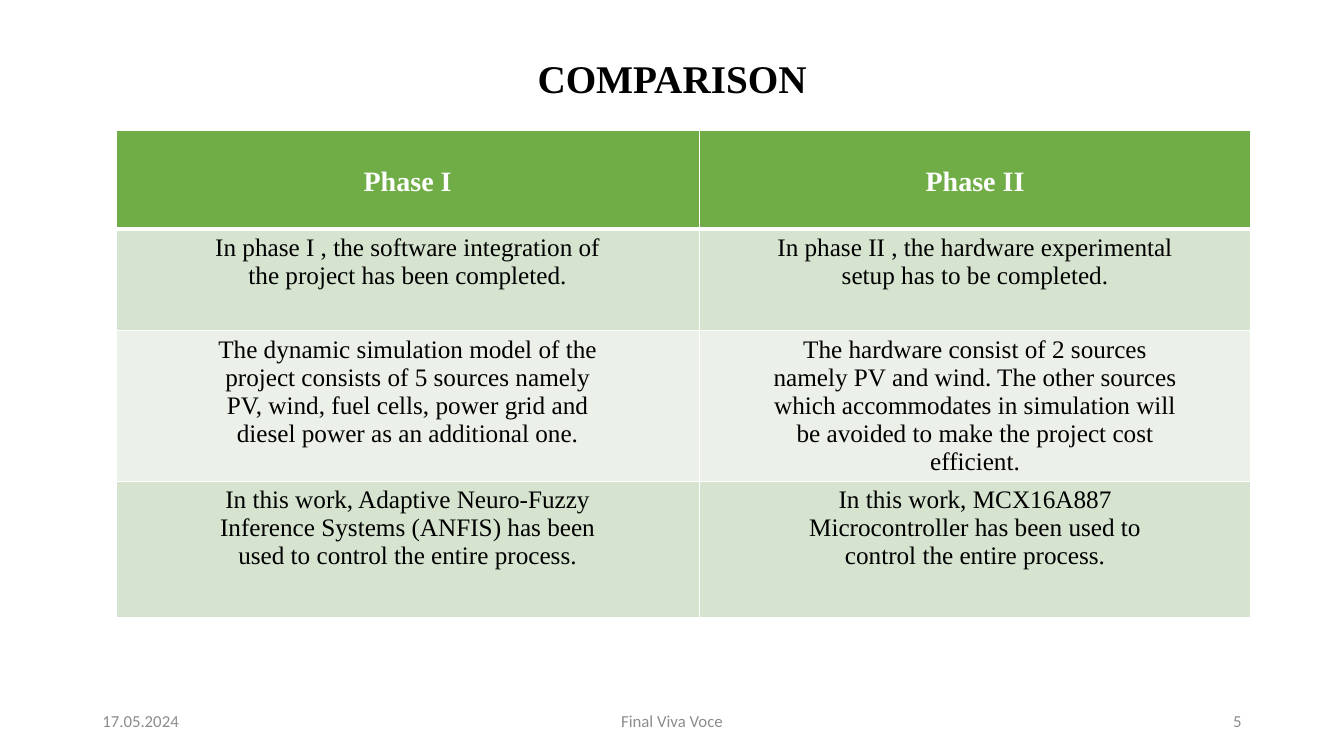
from lxml.etree import SubElement
from pptx import Presentation
from pptx.dml.color import RGBColor
from pptx.enum.text import MSO_ANCHOR as Anchor, MSO_AUTO_SIZE as AutoSize, PP_ALIGN as Align
from pptx.oxml.ns import qn
from pptx.util import Inches, Pt

BLACK = RGBColor(0x00, 0x00, 0x00)
WHITE = RGBColor(0xFF, 0xFF, 0xFF)
GREEN = RGBColor(0x70, 0xAD, 0x47)
PALE_GREEN = RGBColor(0xD5, 0xE3, 0xCF)
LIGHT_GREEN = RGBColor(0xEB, 0xF1, 0xE9)
GREY = RGBColor(0x8C, 0x8C, 0x8C)

SLIDE_WIDTH, SLIDE_HEIGHT = Inches(13.33), Inches(7.5)
GRID_COLUMNS, GRID_ROWS = 160, 90
COLUMN_WEIGHTS = (5.79, 5.47)
ROW_WEIGHTS = (0.98, 1.01, 1.49, 1.35)

SERIF = "Times New Roman"
TITLE_FONT = {"name": SERIF, "size": Pt(28), "bold": True}
HEADER_FONT = {"name": SERIF, "size": Pt(20), "bold": True}
BODY_FONT = {"name": SERIF, "size": Pt(18), "bold": False}
FOOTER_FONT = {"name": "Calibri", "size": Pt(12), "bold": False}

PHASES = (
    ("Phase I", "Phase II"),
    (
        "In phase I , the software integration of\nthe project has been completed.",
        "In phase II , the hardware experimental\nsetup has to be completed.",
    ),
    (
        "The dynamic simulation model of the\nproject consists of 5 sources namely\n"
        "PV, wind, fuel cells, power grid and\ndiesel power as an additional one.",
        "The hardware consist of 2 sources\nnamely PV and wind. The other sources\n"
        "which accommodates in simulation will\nbe avoided to make the project cost\nefficient.",
    ),
    (
        "In this work, Adaptive Neuro-Fuzzy\nInference Systems (ANFIS) has been\n"
        "used to control the entire process.",
        "In this work, MCX16A887\nMicrocontroller has been used to\ncontrol the entire process.",
    ),
)
FOOTERS = (
    ("17.05.2024", 11, 36, Align.LEFT),
    ("Final Viva Voce", 53, 54, Align.CENTER),
    ("5", 113, 36, Align.RIGHT),
)


def grid_box(column, row, columns, rows):
    return (
        int(SLIDE_WIDTH * column / GRID_COLUMNS),
        int(SLIDE_HEIGHT * row / GRID_ROWS),
        int(SLIDE_WIDTH * columns / GRID_COLUMNS),
        int(SLIDE_HEIGHT * rows / GRID_ROWS),
    )


def write_text(frame, text, font_values, color, alignment):
    frame.text = text
    for paragraph in frame.paragraphs:
        paragraph.alignment = alignment
        for run in paragraph.runs:
            for name, value in font_values.items():
                setattr(run.font, name, value)
            run.font.color.rgb = color


def add_title(slide, box):
    title = slide.shapes.title
    title.left, title.top, title.width, title.height = box
    frame = title.text_frame
    frame.auto_size = AutoSize.NONE
    frame.vertical_anchor = Anchor.MIDDLE
    write_text(frame, "COMPARISON", TITLE_FONT, BLACK, Align.CENTER)
    frame.paragraphs[0].line_spacing = 1.1


def add_borders(cell, widths):
    properties = cell._tc.get_or_add_tcPr()
    for index, (side, width) in enumerate(widths.items()):
        line = SubElement(properties, qn(f"a:ln{side}"), w=str(Pt(width)))
        fill = SubElement(line, qn("a:solidFill"))
        SubElement(fill, qn("a:srgbClr"), val=str(WHITE))
        properties.insert(index, line)


def add_comparison_table(slide, box):
    left, top, width, height = box
    table = slide.shapes.add_table(len(PHASES), len(COLUMN_WEIGHTS), *box).table
    for column, weight in zip(table.columns, COLUMN_WEIGHTS):
        column.width = int(width * weight / sum(COLUMN_WEIGHTS))
    for row, weight in zip(table.rows, ROW_WEIGHTS):
        row.height = int(height * weight / sum(ROW_WEIGHTS))
    for row_index, texts in enumerate(PHASES):
        is_header = row_index == 0
        font_values, color = (HEADER_FONT, WHITE) if is_header else (BODY_FONT, BLACK)
        band = PALE_GREEN if row_index % 2 else LIGHT_GREEN
        borders = {"L": 1, "R": 1, "T": 3 if row_index == 1 else 1, "B": 3 if is_header else 1}
        for column_index, text in enumerate(texts):
            cell = table.cell(row_index, column_index)
            cell.margin_top = Inches(0.36 if is_header else 0.05)
            cell.fill.solid()
            cell.fill.fore_color.rgb = GREEN if is_header else band
            write_text(cell.text_frame, text, font_values, color, Align.CENTER)
            add_borders(cell, borders)


def add_footer(slide, row, rows):
    for text, column, columns, alignment in FOOTERS:
        frame = slide.shapes.add_textbox(*grid_box(column, row, columns, rows)).text_frame
        frame.word_wrap = True
        frame.vertical_anchor = Anchor.MIDDLE
        write_text(frame, text, FOOTER_FONT, GREY, alignment)


def main():
    presentation = Presentation()
    presentation.slide_width, presentation.slide_height = SLIDE_WIDTH, SLIDE_HEIGHT
    slide = presentation.slides.add_slide(presentation.slide_layouts.get_by_name("Title Only"))
    add_title(slide, grid_box(11, 4, 138, 10))
    add_comparison_table(slide, grid_box(13.8, 15.5, 135.1, 58))
    add_footer(slide, 83.4, 4.8)
    presentation.save("out.pptx")


if __name__ == "__main__":
    main()
